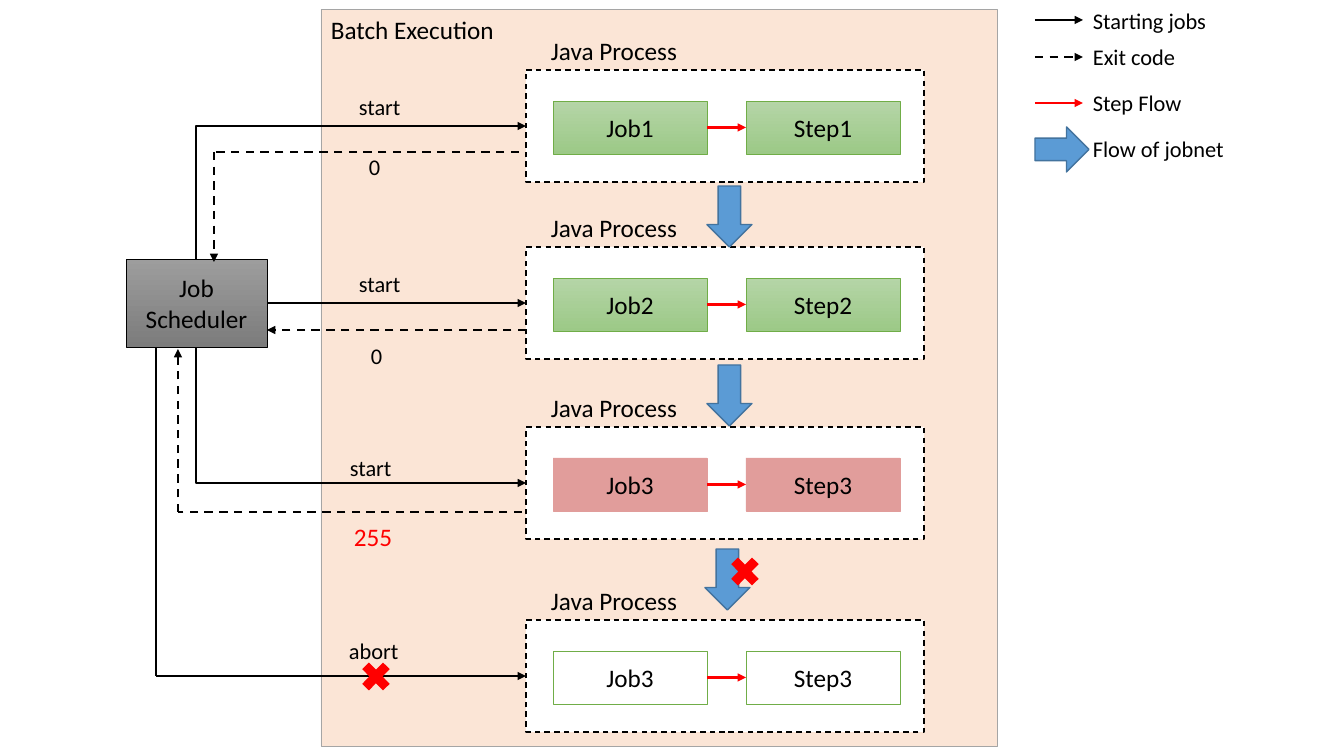
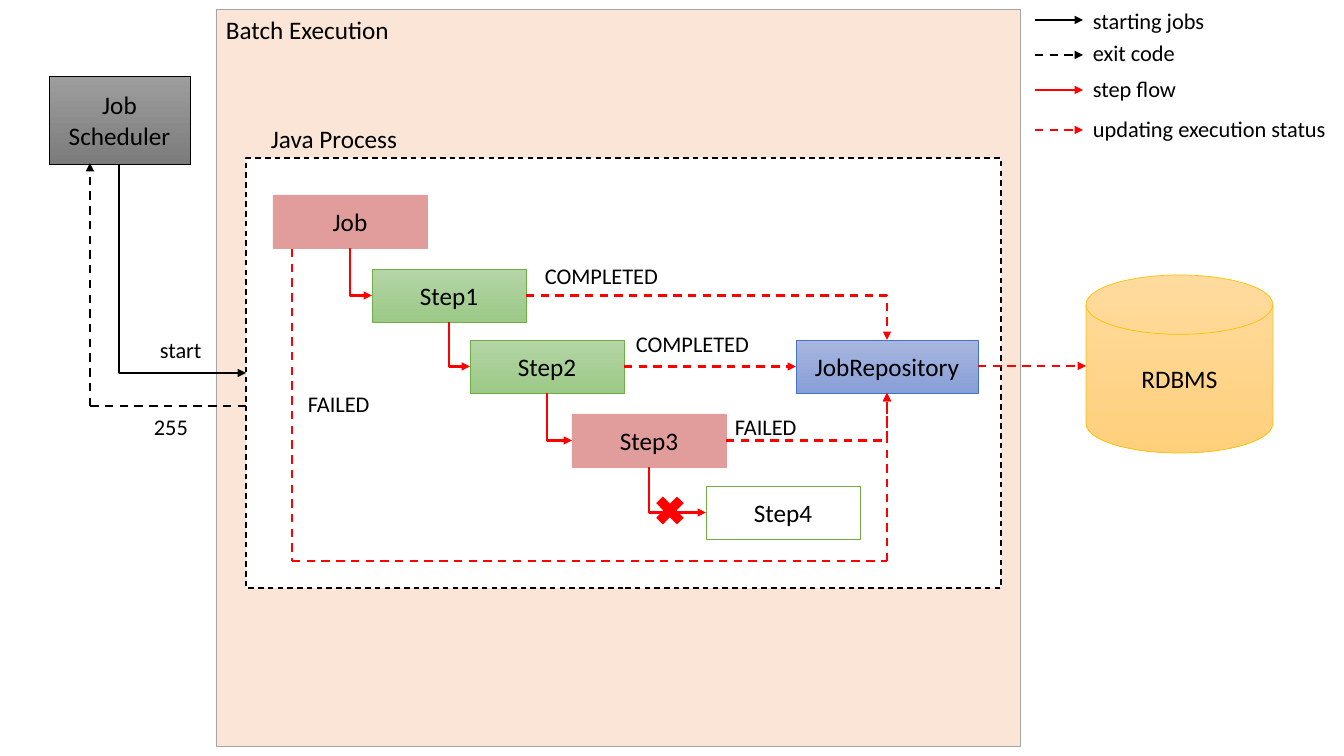
from dataclasses import dataclass
from itertools import pairwise

from lxml.etree import SubElement
from pptx import Presentation
from pptx.dml.color import RGBColor
from pptx.enum.dml import MSO_LINE
from pptx.enum.shapes import MSO_CONNECTOR as Connector, MSO_SHAPE as Preset
from pptx.enum.text import MSO_ANCHOR as Anchor, PP_ALIGN as Align
from pptx.oxml.ns import qn
from pptx.shapes.autoshape import Shape
from pptx.shapes.connector import Connector as ConnectorShape
from pptx.slide import Slide
from pptx.text.text import TextFrame
from pptx.util import Pt

EMU_PER_PX = 914400 / 100.8
FONT = "Calibri"
BLACK, WHITE, RED = "000000", "FFFFFF", "FF0000"
TOP, LEFT, BOTTOM, RIGHT = range(4)
BOX_WIDTH, BOX_HEIGHT = 154, 53
LEGEND_LEFT, LEGEND_RIGHT, LEGEND_TEXT = 1035, 1083, 1083


@dataclass(frozen=True)
class Look:
    fills: tuple[str, ...]
    line: str | None = None
    width: float = 0.5
    dashed: bool = False


@dataclass(frozen=True)
class Pen:
    color: str
    dashed: bool = False


@dataclass(frozen=True)
class Label:
    x: int
    y: int
    width: int
    text: str
    size: int = 16
    color: str = BLACK


@dataclass(frozen=True)
class LegendLine:
    y: int
    text_y: int
    text: str
    pen: Pen


@dataclass(frozen=True)
class JobProcess:
    y: int
    job: str
    step: str
    look: Look


@dataclass(frozen=True)
class Box:
    x: int
    y: int
    text: str
    look: Look


AREA = Look(("FBE5D6",), "A5A5A5")
SCHEDULER = Look(("9D9D9D", "7C7C7C"), BLACK)
PROCESS = Look((WHITE,), BLACK, 1, True)
DONE = Look(("B5D5A7", "9CC987"), "70AD47")
FAILED = Look(("E19D9B",), "E19D9B")
NOT_RUN = Look((WHITE,), "70AD47")
REPOSITORY = Look(("A8B7DF", "889ED7"), "4472C4")
DATABASE = Look(("FFDB9E", "FFD07C"), "FFC000")
FLOW = Look(("5B9BD5",), "43739E", 1)
CROSS = Look((RED,))

START = Pen(BLACK)
EXIT = Pen(BLACK, True)
STEP = Pen(RED)
UPDATE = Pen(RED, True)

JOB_PROCESSES = [
    JobProcess(70, "Job1", "Step1", DONE),
    JobProcess(247, "Job2", "Step2", DONE),
    JobProcess(427, "Job3", "Step3", FAILED),
    JobProcess(620, "Job3", "Step3", NOT_RUN),
]
JOBNET_LABELS = [
    Label(349, 88, 70, "start"),
    Label(359, 148, 42, "0"),
    Label(349, 265, 70, "start"),
    Label(361, 337, 42, "0"),
    Label(340, 449, 70, "start"),
    Label(344, 516, 60, "255", 18, RED),
    Label(339, 632, 70, "abort"),
    Label(LEGEND_TEXT, 130, 200, "Flow of jobnet"),
]
JOBNET_LEGEND = [
    LegendLine(20, 2, "Starting jobs", START),
    LegendLine(57, 38, "Exit code", EXIT),
    LegendLine(103, 84, "Step Flow", STEP),
]
STEP_BOXES = [
    Box(273, 195, "Job", FAILED),
    Box(372, 269, "Step1", DONE),
    Box(470, 340, "Step2", DONE),
    Box(572, 414, "Step3", FAILED),
    Box(706, 486, "Step4", NOT_RUN),
]
STATUS_LABELS = [
    Label(535, 257, 134, "COMPLETED"),
    Label(626, 325, 134, "COMPLETED"),
    Label(725, 408, 134, "FAILED"),
    Label(298, 385, 134, "FAILED"),
    Label(150, 331, 70, "start"),
    Label(144, 408, 70, "255"),
]
STATUS_LEGEND = [
    LegendLine(20, 2, "starting jobs", START),
    LegendLine(55, 34, "exit code", EXIT),
    LegendLine(90, 70, "step flow", STEP),
    LegendLine(130, 110, "updating execution status", UPDATE),
]


def px(value: int) -> int:
    return round(value * EMU_PER_PX)


def rgb(color: str) -> RGBColor:
    return RGBColor.from_string(color)


def write(frame: TextFrame, lines: list[str], align: Align, size: int = 18, color: str = BLACK) -> None:
    frame.word_wrap = True
    for index, line in enumerate(lines):
        paragraph = frame.paragraphs[0] if index == 0 else frame.add_paragraph()
        paragraph.alignment = align
        run = paragraph.add_run()
        run.text = line
        run.font.name = FONT
        run.font.size = Pt(size)
        run.font.color.rgb = rgb(color)


def add_block(
    slide: Slide, x: int, y: int, width: int, height: int, look: Look,
    *lines: str, preset: Preset = Preset.RECTANGLE, align: Align = Align.CENTER,
    anchor: Anchor = Anchor.MIDDLE,
) -> Shape:
    shape = slide.shapes.add_shape(preset, px(x), px(y), px(width), px(height))
    shape.shadow.inherit = False
    if len(look.fills) == 1:
        shape.fill.solid()
        shape.fill.fore_color.rgb = rgb(look.fills[0])
    else:
        shape.fill.gradient()
        shape.fill.gradient_angle = 270
        for stop, color in zip(shape.fill.gradient_stops, look.fills):
            stop.color.rgb = rgb(color)
    if look.line:
        shape.line.color.rgb = rgb(look.line)
        shape.line.width = Pt(look.width)
        if look.dashed:
            shape.line.dash_style = MSO_LINE.DASH
    else:
        shape.line.fill.background()
    shape.text_frame.vertical_anchor = anchor
    write(shape.text_frame, list(lines), align)
    return shape


def add_label(slide: Slide, label: Label, align: Align = Align.LEFT) -> None:
    height = 40 if label.size == 18 else 37
    box = slide.shapes.add_textbox(px(label.x), px(label.y), px(label.width), px(height))
    write(box.text_frame, [label.text], align, label.size, label.color)


def style_connector(connector: ConnectorShape, pen: Pen, arrow: str | None) -> None:
    connector.line.color.rgb = rgb(pen.color)
    connector.line.width = Pt(1.5)
    if pen.dashed:
        connector.line.dash_style = MSO_LINE.DASH
    properties = connector._element.spPr
    if arrow:
        SubElement(properties.find(qn("a:ln")), qn(arrow), type="triangle")
    SubElement(properties, qn("a:effectLst"))


def route(slide: Slide, pen: Pen, *points: tuple[int, int]) -> None:
    for start, end in pairwise(points):
        connector = slide.shapes.add_connector(Connector.STRAIGHT, *map(px, start + end))
        style_connector(connector, pen, "a:tailEnd" if end == points[-1] else None)


def link(slide: Slide, pen: Pen, source: Shape, source_site: int, target: Shape, target_site: int) -> None:
    straight = {source_site, target_site} == {LEFT, RIGHT}
    ends, arrow = [(source, source_site), (target, target_site)], "a:tailEnd"
    if source_site in (TOP, BOTTOM):
        ends, arrow = ends[::-1], "a:headEnd"
    kind = Connector.STRAIGHT if straight else Connector.ELBOW
    connector = slide.shapes.add_connector(kind, 0, 0, 0, 0)
    connector.begin_connect(*ends[0])
    connector.end_connect(*ends[1])
    if not straight:
        connector._element.spPr.find(qn("a:prstGeom")).set("prst", "bentConnector2")
    style_connector(connector, pen, arrow)


def add_area(slide: Slide, x: int, width: int) -> None:
    add_block(slide, x, 9, width, 737, AREA, "Batch Execution", align=Align.LEFT, anchor=Anchor.TOP)


def add_scheduler(slide: Slide, x: int, y: int) -> Shape:
    return add_block(slide, x, y, 141, 88, SCHEDULER, "Job", "Scheduler")


def add_process(slide: Slide, x: int, y: int, width: int, height: int) -> Shape:
    add_label(slide, Label(x, y - 40, 176, "Java Process", 18), Align.CENTER)
    return add_block(slide, x, y, width, height, PROCESS)


def add_box(slide: Slide, box: Box, width: int = BOX_WIDTH) -> Shape:
    return add_block(slide, box.x, box.y, width, BOX_HEIGHT, box.look, box.text)


def add_cross(slide: Slide, x: int, y: int) -> None:
    add_block(slide, x, y, 40, 41, CROSS, preset=Preset.MATH_MULTIPLY)


def add_notes_of_lines(slide: Slide, legend: list[LegendLine], labels: list[Label]) -> None:
    for entry in legend:
        route(slide, entry.pen, (LEGEND_LEFT, entry.y), (LEGEND_RIGHT, entry.y))
        add_label(slide, Label(LEGEND_TEXT, entry.text_y, 261, entry.text))
    for label in labels:
        add_label(slide, label)


def build_jobnet(slide: Slide) -> None:
    add_area(slide, 321, 676)
    scheduler = add_scheduler(slide, 126, 259)
    processes = []
    for row in JOB_PROCESSES:
        processes.append(add_process(slide, 526, row.y, 398, 112))
        job = add_box(slide, Box(553, row.y + 31, row.job, row.look))
        step = add_box(slide, Box(746, row.y + 31, row.step, row.look))
        link(slide, STEP, job, RIGHT, step, LEFT)
    for process, site in zip(processes, (TOP, RIGHT, BOTTOM)):
        link(slide, START, scheduler, site, process, LEFT)
    route(slide, START, (156, 347), (156, 676), (526, 676))
    route(slide, EXIT, (519, 152), (214, 152), (214, 262))
    route(slide, EXIT, (526, 330), (267, 330))
    route(slide, EXIT, (522, 512), (178, 512), (178, 349))
    for x, y in ((707, 186), (707, 365), (705, 549)):
        add_block(slide, x, y, 45, 61, FLOW, preset=Preset.DOWN_ARROW)
    add_block(slide, LEGEND_LEFT, 127, 54, 45, FLOW, preset=Preset.RIGHT_ARROW)
    add_cross(slide, 725, 551)
    add_cross(slide, 356, 656)
    add_notes_of_lines(slide, JOBNET_LEGEND, JOBNET_LABELS)


def build_status_update(slide: Slide) -> None:
    add_area(slide, 216, 804)
    scheduler = add_scheduler(slide, 49, 76)
    process = add_process(slide, 246, 158, 755, 430)
    boxes = [add_box(slide, box) for box in STEP_BOXES]
    repository = add_box(slide, Box(796, 340, "JobRepository", REPOSITORY), 182)
    add_block(slide, 1086, 275, 187, 178, DATABASE, "RDBMS", preset=Preset.FLOWCHART_MAGNETIC_DISK)
    link(slide, START, scheduler, BOTTOM, process, LEFT)
    route(slide, EXIT, (246, 406), (90, 406), (90, 163))
    for upper, lower in pairwise(boxes):
        link(slide, STEP, upper, BOTTOM, lower, LEFT)
    for step, site in zip(boxes[1:4], (TOP, LEFT, BOTTOM)):
        link(slide, UPDATE, step, RIGHT, repository, site)
    route(slide, UPDATE, (292, 249), (292, 561), (887, 561), (887, 393))
    route(slide, UPDATE, (978, 366), (1086, 366))
    add_cross(slide, 650, 490)
    add_notes_of_lines(slide, STATUS_LEGEND, STATUS_LABELS)


def main() -> None:
    presentation = Presentation()
    presentation.slide_width = px(1344)
    presentation.slide_height = px(756)
    for build in (build_jobnet, build_status_update):
        build(presentation.slides.add_slide(presentation.slide_layouts[6]))
    presentation.save("out.pptx")


if __name__ == "__main__":
    main()
